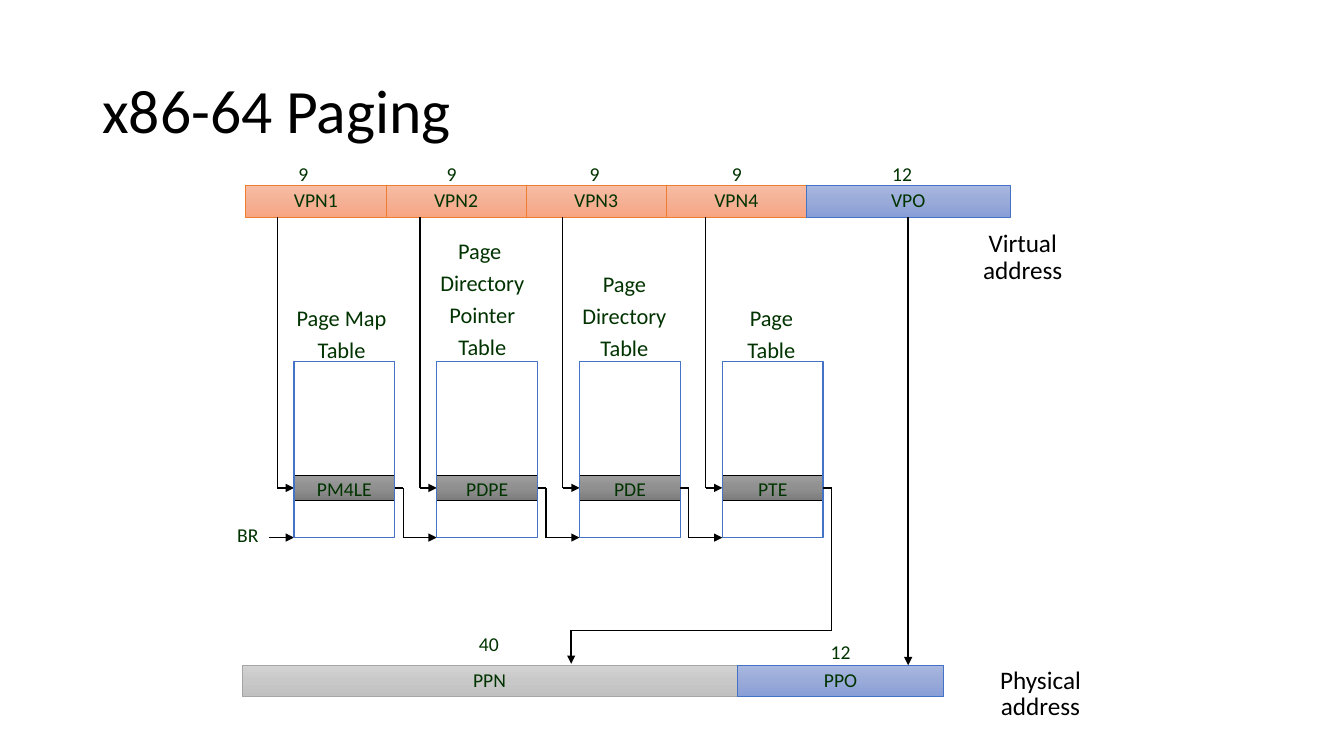
from copy import deepcopy

from lxml import etree
from pptx import Presentation
from pptx.dml.color import RGBColor
from pptx.enum import shapes, text
from pptx.oxml import ns
from pptx.util import Pt

BLACK = RGBColor(0, 0, 0)
GREEN = RGBColor(0x00, 0x33, 0x00)
BLUE = RGBColor(0x44, 0x72, 0xC4)
ORANGE = RGBColor(0xED, 0x7D, 0x31)
SILVER = RGBColor(0xA5, 0xA5, 0xA5)
# Gradient colours from top to bottom
BLUE_FADE = [RGBColor(0xA8, 0xB7, 0xDF), RGBColor(0x9A, 0xAB, 0xD9), RGBColor(0x88, 0x9E, 0xD7)]
ORANGE_FADE = [RGBColor(0xF7, 0xBD, 0xA5), RGBColor(0xF5, 0xB1, 0x96), RGBColor(0xF8, 0xA5, 0x82)]
SILVER_FADE = [RGBColor(0xD2, 0xD2, 0xD2), RGBColor(0xC8, 0xC8, 0xC8), RGBColor(0xC0, 0xC0, 0xC0)]
GREY_FADE = [RGBColor(0x9D, 0x9D, 0x9D), RGBColor(0x90, 0x90, 0x90), RGBColor(0x7C, 0x7C, 0x7C)]

# Caption, its top and centre shift, entry name, centre of the bit count from the table's left
TABLES = [
    (["Page Map", "Table"], 216, -2, "PM4LE", 6.7),
    (["Page ", "Directory", "Pointer", "Table"], 168, -3.5, "PDPE", 10.6),
    (["Page", "Directory", "Table"], 192, -4, "PDE", 10.8),
    (["Page", "Table"], 216, -1, "PTE", 10.3),
]
TABLE_W, TABLE_H, TABLE_STEP = 72, 126, 102
ENTRY_TOP, ENTRY_H = 81.5, 18
FIELD_H = 22.5


def write(tf, lines, size, before, color=GREEN, align=text.PP_ALIGN.CENTER, spacing=0.88):
    for i, line in enumerate(lines):
        p = tf.paragraphs[0] if i == 0 else tf.add_paragraph()
        p.text = line
        p.alignment = align
        p.line_spacing = spacing
        p.space_before = Pt(before)
        p.font.size = Pt(size)
        p.font.name = "Calibri"
        p.font.color.rgb = color


def label(slide, center, top, lines, size=14, before=5.2, color=GREEN):
    w, h = 120, 7.2 + len(lines) * (size * 1.08 + before)
    sp = slide.shapes.add_textbox(Pt(center - w / 2), Pt(top), Pt(w), Pt(h))
    sp.text_frame.word_wrap = True
    write(sp.text_frame, lines, size, before, color)


def field(slide, x, y, w, h, name, fade, line):
    sp = slide.shapes.add_shape(shapes.MSO_SHAPE.RECTANGLE, Pt(x), Pt(y), Pt(w), Pt(h))
    sp.shadow.inherit = False
    sp.fill.gradient()
    sp.fill.gradient_angle = 270
    stops = sp._element.spPr.find(".//" + ns.qn("a:gsLst"))
    stops.insert(1, deepcopy(stops[0]))
    for stop, color, position in zip(sp.fill.gradient_stops, fade, (0, 0.5, 1)):
        stop.color.rgb = color
        stop.position = position
    sp.line.color.rgb = line
    sp.line.width = Pt(0.5)
    tf = sp.text_frame
    tf.word_wrap = False
    tf.vertical_anchor = text.MSO_ANCHOR.MIDDLE
    write(tf, [name], 14, 5.2)
    return sp


def route(slide, points, start=None, end=None, arrow=True):
    """Straight segments through the points; start and end are (shape, side)."""
    for i, (a, b) in enumerate(zip(points, points[1:])):
        last = i == len(points) - 2
        c = slide.shapes.add_connector(shapes.MSO_CONNECTOR.STRAIGHT, *map(Pt, a + b))
        c.line.color.rgb = BLACK
        c.line.width = Pt(1)
        if last and arrow:
            etree.SubElement(c.line._get_or_add_ln(), ns.qn("a:tailEnd"), type="triangle")
        etree.SubElement(c._element.spPr, ns.qn("a:effectLst"))
        if i == 0 and start:
            c.begin_connect(*start)
        if last and end:
            c.end_connect(*end)


def add_title(slide, x, y, w, h):
    sp = slide.shapes.add_textbox(Pt(x), Pt(y), Pt(w), Pt(h))
    sp.text_frame.word_wrap = True
    sp.text_frame.vertical_anchor = text.MSO_ANCHOR.MIDDLE
    write(sp.text_frame, ["x86-64 Paging"], 44, 0, BLACK, text.PP_ALIGN.LEFT, 0.9)


def add_virtual_address(slide, x, y, vpn_w, vpo_w):
    for i in range(len(TABLES)):
        field(slide, x + i * vpn_w, y, vpn_w, FIELD_H, f"VPN{i + 1}", ORANGE_FADE, ORANGE)
    vpo_x = x + len(TABLES) * vpn_w
    vpo = field(slide, vpo_x, y, vpo_w, FIELD_H, "VPO", BLUE_FADE, BLUE)
    label(slide, vpo_x + 68.4, y - 18, ["12"])
    label(slide, vpo_x + 154.5, y + 29.5, ["Virtual address"], 18, 6.8, BLACK)
    return vpo


def add_physical_address(slide, x, y, ppn_w, ppo_w):
    field(slide, x, y, ppn_w, FIELD_H, "PPN", SILVER_FADE, SILVER)
    field(slide, x + ppn_w, y, ppo_w, FIELD_H, "PPO", BLUE_FADE, BLUE)
    label(slide, x + 176.4, y - 25.2, ["40"])
    label(slide, x + ppn_w + ppo_w / 2, y - 19.4, ["12"])
    label(slide, x + ppn_w + ppo_w + 69, y - 1.5, ["Physical address"], 18, 6.8, BLACK)


def add_page_table(slide, x, y, address_y, caption, caption_top, shift, name, count_x):
    # Entry and the index that selects it
    entry = field(slide, x, y + ENTRY_TOP, TABLE_W, ENTRY_H, name, GREY_FADE, BLACK)
    entry.text_frame.margin_bottom = 0
    mid = y + ENTRY_TOP + ENTRY_H / 2
    route(slide, [(x - 12, address_y + FIELD_H), (x - 12, mid), (x, mid)], end=(entry, 1))
    # Frame
    frame = slide.shapes.add_shape(shapes.MSO_SHAPE.RECTANGLE, Pt(x), Pt(y), Pt(TABLE_W), Pt(TABLE_H))
    frame.shadow.inherit = False
    frame.fill.background()
    frame.line.color.rgb = BLUE
    frame.line.width = Pt(1)
    # Caption and bit count
    label(slide, x + TABLE_W / 2 + shift, caption_top, caption, 16, 6)
    label(slide, x + count_x, address_y - 18, ["9"])
    return entry


def add_walk(slide, x, y, address_y, ppn_arrow_x, physical_y):
    mid, bottom = y + ENTRY_TOP + ENTRY_H / 2, y + TABLE_H
    # Base register
    label(slide, x - 33, y + 114.2, ["BR"])
    route(slide, [(x - 18, bottom), (x, bottom)])
    # Each entry leads to the next table, the last one to the page number
    for i, table in enumerate(TABLES):
        left = x + i * TABLE_STEP
        entry = add_page_table(slide, left, y, address_y, *table)
        right = left + TABLE_W
        turn = right + 6
        if i < len(TABLES) - 1:
            tail = [(turn, bottom), (left + TABLE_STEP, bottom)]
        else:
            tail = [(turn, physical_y - 25), (ppn_arrow_x, physical_y - 25), (ppn_arrow_x, physical_y - 1)]
        route(slide, [(right, mid), (turn, mid)] + tail, start=(entry, 3))


def main():
    prs = Presentation()
    prs.slide_width, prs.slide_height = Pt(960), Pt(540)
    slide = prs.slides.add_slide(prs.slide_layouts[6])
    address_y, physical_y = 132.5, 475.2
    add_title(slide, 66, 28.8, 828, 104.4)
    vpo = add_virtual_address(slide, 175.6, address_y, 100.1, 145.4)
    add_physical_address(slide, 172.8, physical_y, 353.8, 147.6)
    add_walk(slide, 210, 258, address_y, 408, physical_y)
    # The offset passes through unchanged
    route(slide, [(648.7, address_y + FIELD_H), (648.7, physical_y)], start=(vpo, 2))
    prs.save("out.pptx")


if __name__ == "__main__":
    main()
